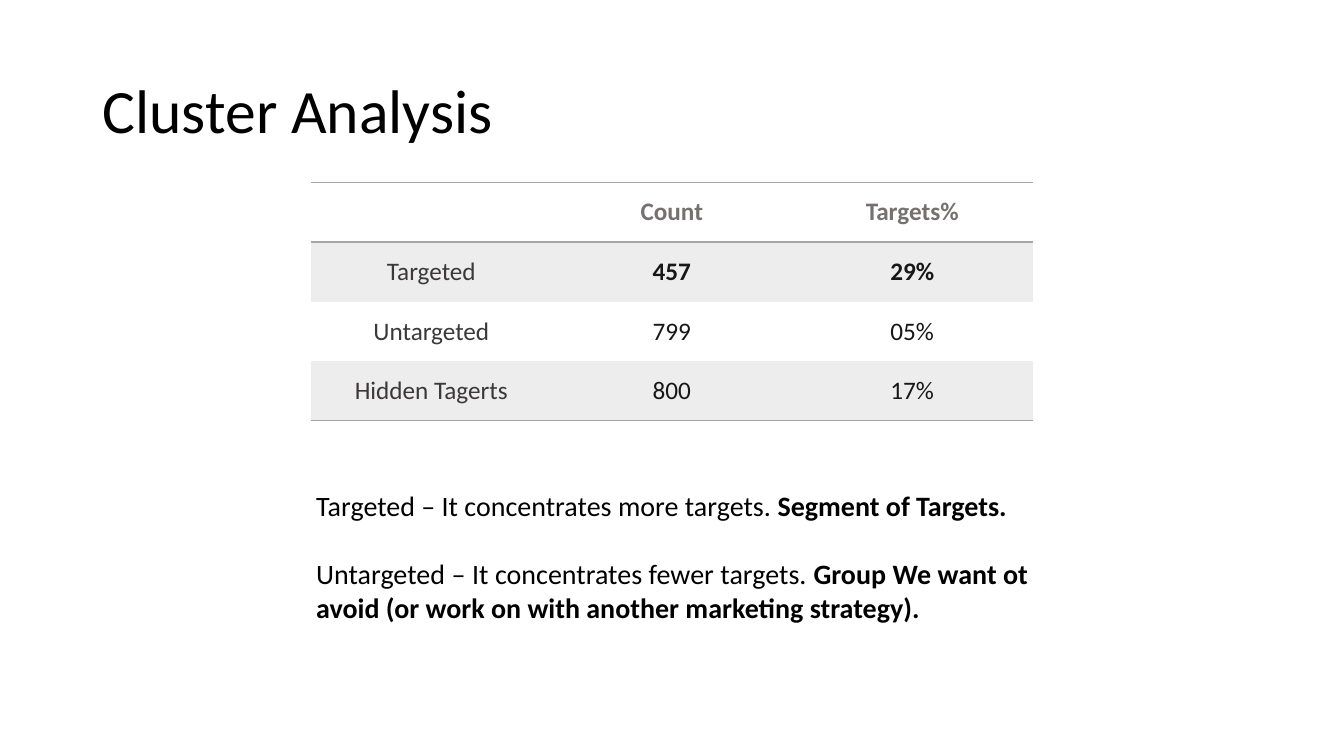
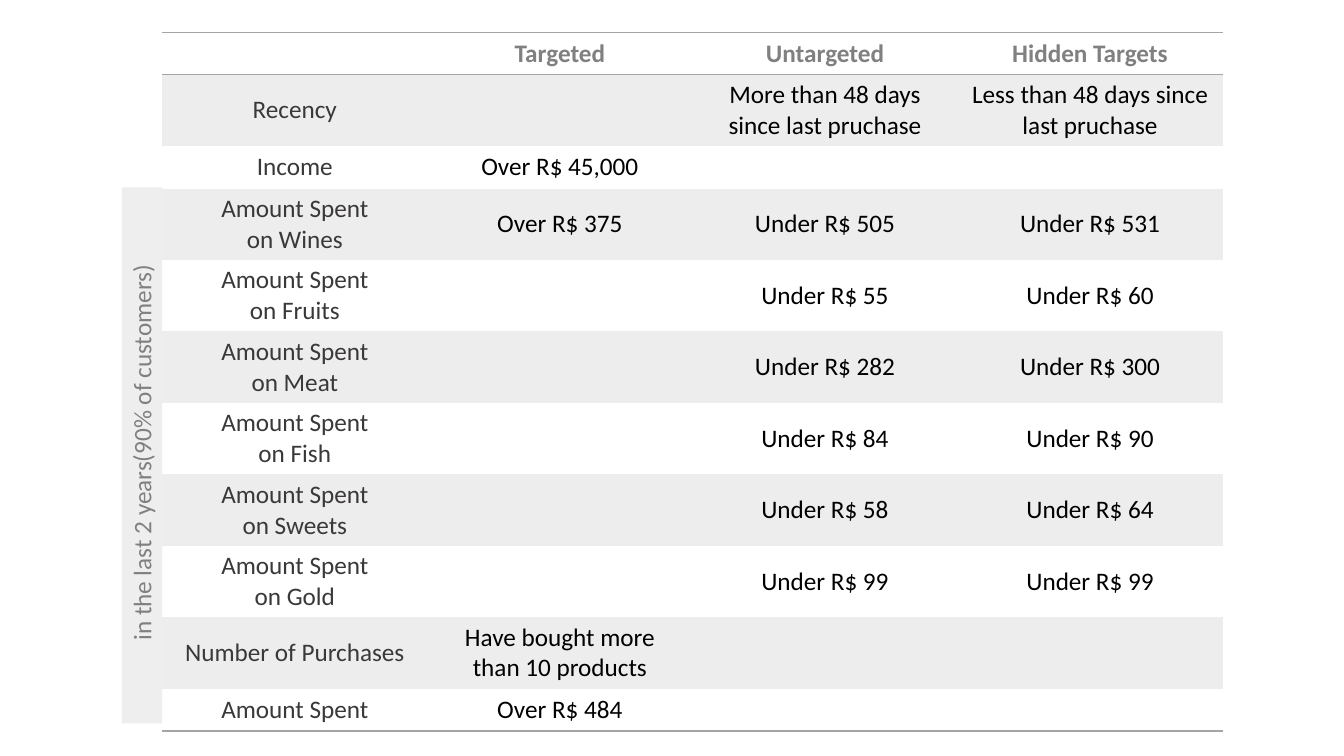
from dataclasses import dataclass

from lxml import etree
from pptx import Presentation
from pptx.dml.color import RGBColor
from pptx.enum import shapes, text as t
from pptx.oxml import ns
from pptx.util import Cm, Pt

FONT = "Calibri"
BLACK, LABEL, INK = "000000", "3B3838", "181717"
GREY, DARK = "808080", "767171"
BAND, SIDE, RULE = "EDEDED", "EEEEEE", "A5A5A5"
PLAIN = "{2D5ABB26-0587-4C30-8999-92F81FD0307C}"  # table style without grid


@dataclass(frozen=True)
class Box:
    left: float
    top: float
    width: float
    height: float

    def cm(self) -> list:
        return [Cm(n) for n in (self.left, self.top, self.width, self.height)]


@dataclass(frozen=True)
class Grid:
    left: float
    top: float
    width: float
    heights: list[float]
    rows: list[list[str]]
    head: str
    ink: str


def color(code: str) -> RGBColor:
    return RGBColor.from_string(code)


def write(frame, text: str, *, size: float = 18, ink: str = BLACK,
          bold: bool = False, align=t.PP_ALIGN.CENTER,
          anchor=t.MSO_ANCHOR.TOP, line: float = 1, gap: float = 0) -> None:
    """Write one paragraph per line; pieces between ** marks are bold."""
    frame.word_wrap = True
    frame.vertical_anchor = anchor
    for i, row in enumerate(text.split("\n")):
        para = frame.add_paragraph() if i else frame.paragraphs[0]
        para.alignment, para.line_spacing = align, line
        para.space_before = Pt(gap if i else 0)
        para.font.size = Pt(size)
        for j, piece in enumerate(row.split("**")):
            if not piece:
                continue
            run = para.add_run()
            run.text = piece
            font = run.font
            font.name, font.size = FONT, Pt(size)
            font.bold = bold or j % 2 == 1
            font.color.rgb = color(ink)


def label(slide, box: Box, text: str, turn: float = 0, **style) -> None:
    item = slide.shapes.add_textbox(*box.cm())
    item.rotation = turn
    write(item.text_frame, text, **style)


def rule(cell, side: str) -> None:
    """Draw a thin line on side T or B of a cell."""
    line = etree.Element(ns.qn(f"a:ln{side}"), w=str(Pt(1)))
    fill = etree.SubElement(line, ns.qn("a:solidFill"))
    etree.SubElement(fill, ns.qn("a:srgbClr"), val=RULE)
    cell._tc.get_or_add_tcPr().insert(0, line)


def draw(slide, grid: Grid) -> None:
    count, wide = len(grid.rows), len(grid.rows[0])
    box = Box(grid.left, grid.top, grid.width * wide, sum(grid.heights))
    item = slide.shapes.add_table(count, wide, *box.cm())
    item.element.find(".//" + ns.qn("a:tableStyleId")).text = PLAIN
    table = item.table
    table.horz_banding = table.first_row = False
    for col in table.columns:
        col.width = Cm(grid.width)
    for i, row in enumerate(grid.rows):
        table.rows[i].height = Cm(grid.heights[i])
        for j, text in enumerate(row):
            cell = table.cell(i, j)
            ink = grid.head if i == 0 else grid.ink if j else LABEL
            write(cell.text_frame, text, ink=ink, bold=i == 0)
            cell.vertical_anchor = t.MSO_ANCHOR.MIDDLE
            if i % 2:
                cell.fill.solid()
                cell.fill.fore_color.rgb = color(BAND)
            else:
                cell.fill.background()
            if i in (0, count - 1):
                rule(cell, "B")
            if i == 0:
                rule(cell, "T")


def groups(slide) -> None:
    label(slide, Box(2.34, 1.02, 29.21, 3.68), "Cluster Analysis", size=44,
          align=t.PP_ALIGN.LEFT, anchor=t.MSO_ANCHOR.MIDDLE, line=0.9)
    rows = [
        ["", "Count", "Targets%"],
        ["Targeted", "**457**", "**29%**"],
        ["Untargeted", "799", "05%"],
        ["Hidden Tagerts", "800", "17%"],
    ]
    draw(slide, Grid(7.84, 4.6, 6.06, [1.5] * len(rows), rows, DARK, INK))
    label(slide, Box(7.72, 12.19, 18.44, 3.68),
          "Targeted – It concentrates more targets. **Segment of Targets.**\n"
          "Untargeted – It concentrates fewer targets. **Group We want ot "
          "avoid (or work on with another marketing strategy).**",
          size=20, align=t.PP_ALIGN.JUSTIFY, gap=24.4)


def traits(slide) -> None:
    side = slide.shapes.add_shape(shapes.MSO_SHAPE.RECTANGLE,
                                  *Box(3.07, 4.72, 1.02, 13.51).cm())
    side.shadow.inherit = False
    side.fill.solid()
    side.fill.fore_color.rgb = color(SIDE)
    side.line.fill.background()

    spent = [
        ("Wines", "Over R$ 375", 505, 531),
        ("Fruits", "", 55, 60),
        ("Meat", "", 282, 300),
        ("Fish", "", 84, 90),
        ("Sweets", "", 58, 64),
        ("Gold", "", 99, 99),
    ]
    rows = [
        ["", "Targeted", "Untargeted", "Hidden Targets"],
        ["Recency", "", "More than 48 days since last pruchase",
         "Less than 48 days since last pruchase"],
        ["Income", "Over R$ 45,000", "", ""],
        *([f"Amount Spent\non {kind}", over, f"Under R$ {low}",
           f"Under R$ {high}"] for kind, over, low, high in spent),
        ["Number of Purchases", "Have bought more\nthan 10 products", "", ""],
        ["Amount Spent", "Over R$ 484", "", ""],
    ]
    low, high = 1.07, 1.8
    heights = [low, high, low, *[high] * (len(spent) + 1), low]
    draw(slide, Grid(4.09, 0.81, 6.68, heights, rows, GREY, BLACK))
    label(slide, Box(-2.01, 10.9, 11.15, 1.02),
          "in the last 2 years(90% of customers)", turn=270, ink=GREY)


def main() -> None:
    deck = Presentation()
    deck.slide_width, deck.slide_height = Cm(33.87), Cm(19.05)
    for build in (groups, traits):
        build(deck.slides.add_slide(deck.slide_layouts[6]))
    deck.save("out.pptx")


if __name__ == "__main__":
    main()
